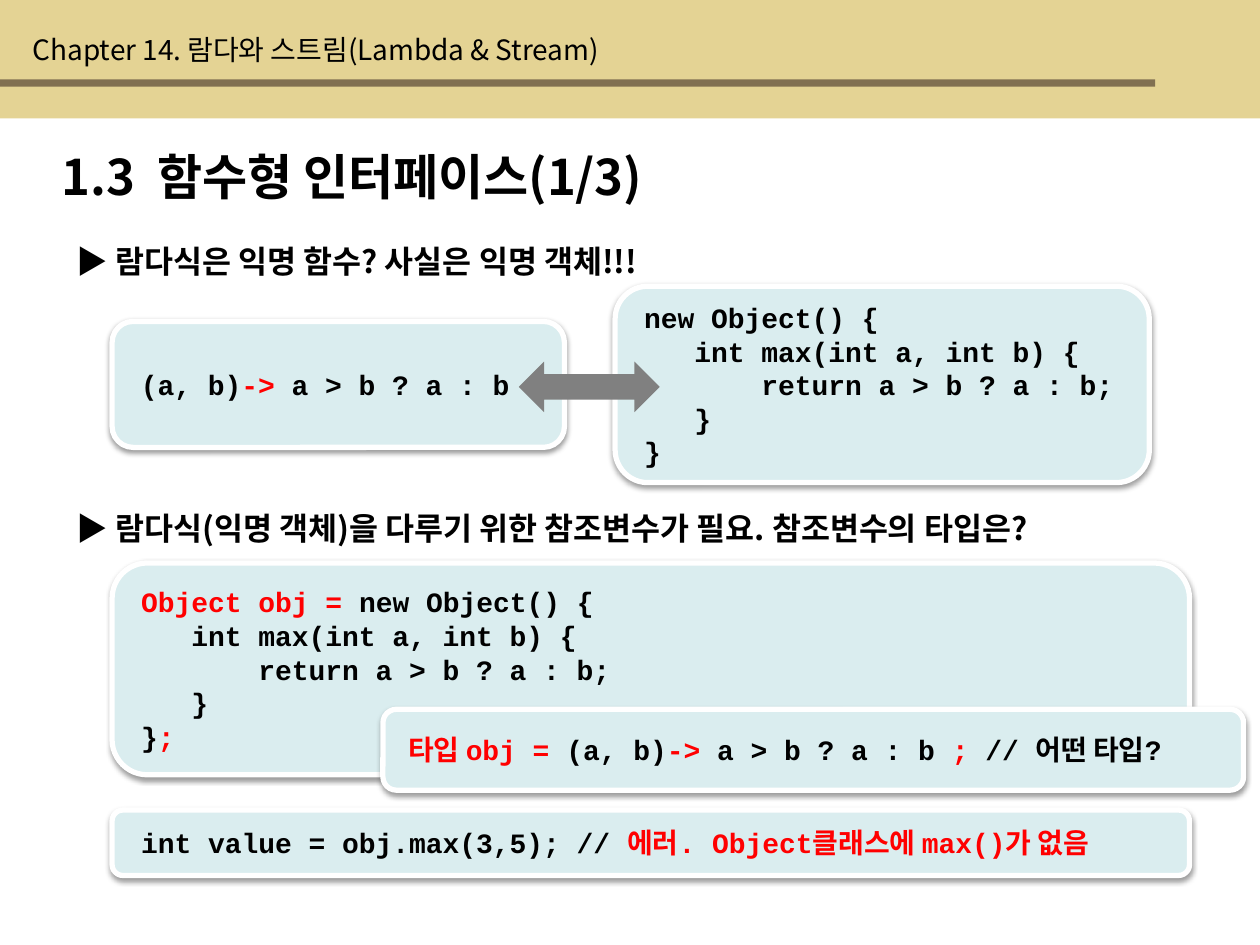
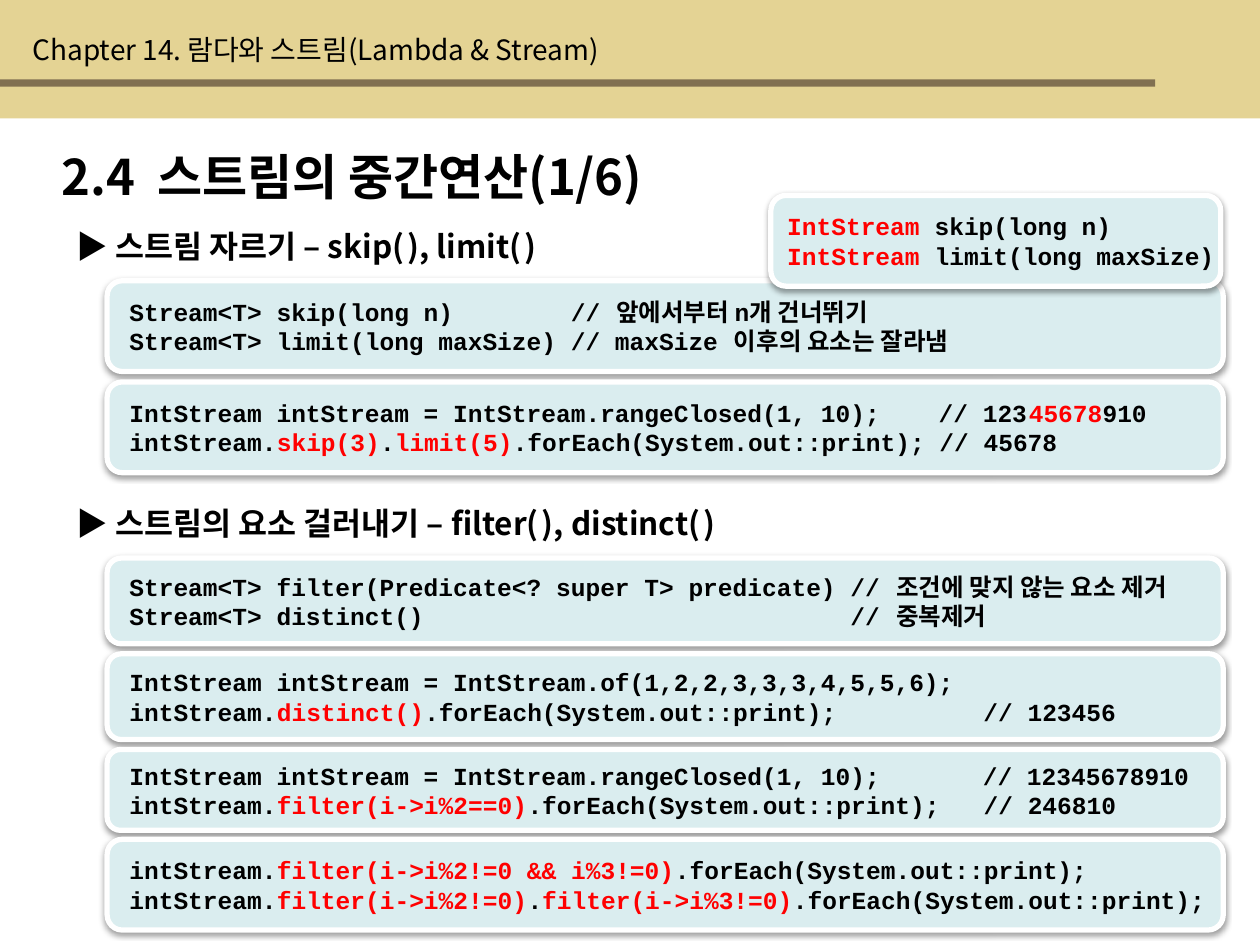
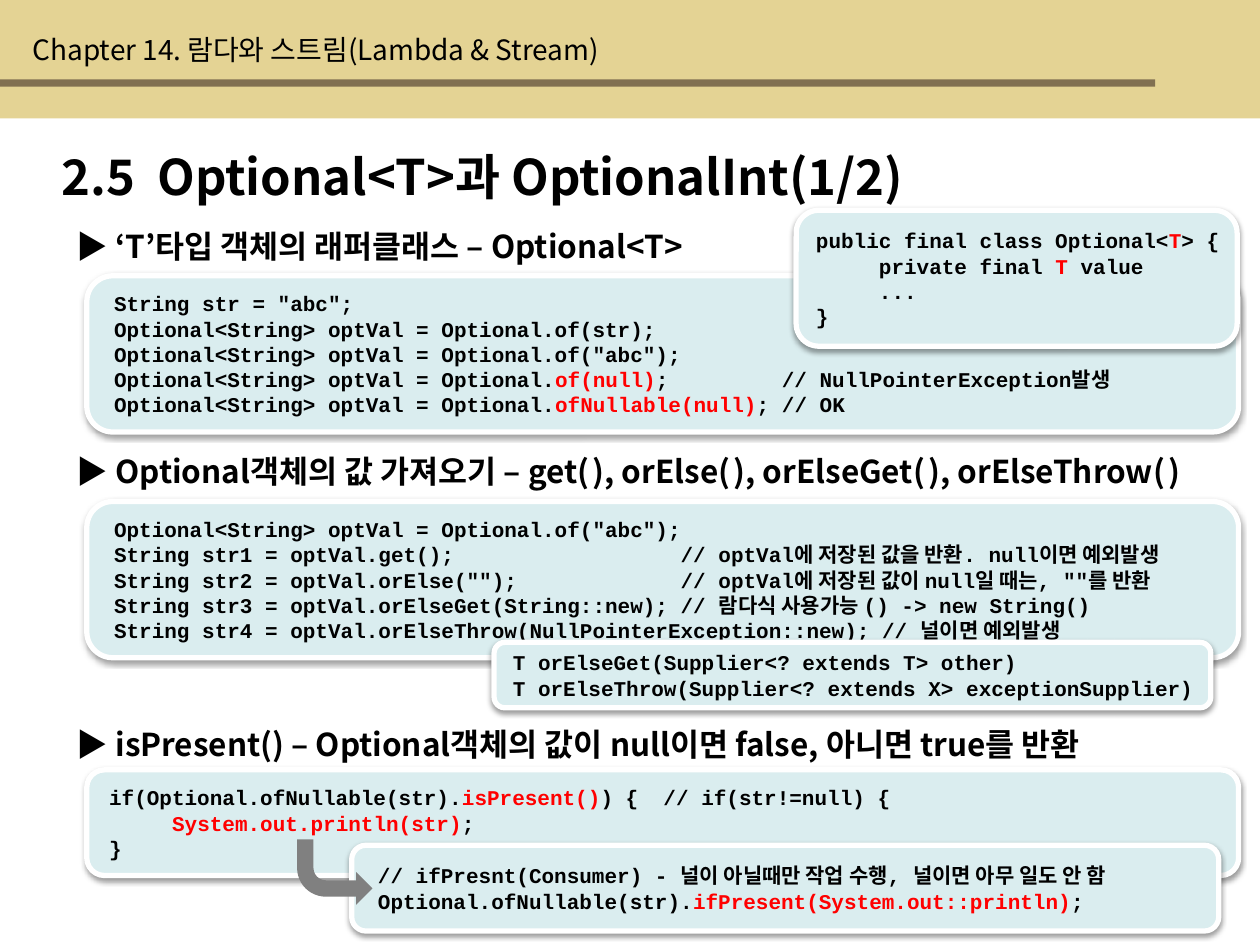
from dataclasses import dataclass

from lxml import etree
from pptx import Presentation
from pptx.dml.color import RGBColor
from pptx.enum.shapes import MSO_SHAPE
from pptx.enum.text import MSO_ANCHOR
from pptx.oxml import parse_xml
from pptx.oxml.ns import nsdecls, qn
from pptx.util import Cm, Pt

RECT = MSO_SHAPE.RECTANGLE
ROUND_RECT = MSO_SHAPE.ROUNDED_RECTANGLE
LEFT_RIGHT_ARROW = MSO_SHAPE.LEFT_RIGHT_ARROW
BENT_ARROW = MSO_SHAPE.BENT_ARROW
TOP, MIDDLE = MSO_ANCHOR.TOP, MSO_ANCHOR.MIDDLE


@dataclass(frozen=True)
class Theme:
    sand: RGBColor = RGBColor.from_string("E4D394")
    brown: RGBColor = RGBColor.from_string("817051")
    panel: RGBColor = RGBColor.from_string("DAEDEF")
    white: RGBColor = RGBColor.from_string("FFFFFF")
    gray: RGBColor = RGBColor.from_string("808080")
    black: RGBColor = RGBColor.from_string("000000")
    red: RGBColor = RGBColor.from_string("FF0000")
    sans: str = "Noto Sans CJK KR"
    mono: str = "Courier New"
    title: int = 28
    heading: int = 18
    chapter: int = 16
    small_gap: int = 8
    line_height: float = 1.2


T = Theme()
CHAPTER = "Chapter 14. 람다와 스트림(Lambda & Stream)"
SHADOW = (
    f'<a:effectLst {nsdecls("a")}><a:outerShdw blurRad="40000" dist="20000" dir="5400000" '
    'rotWithShape="0"><a:srgbClr val="000000"><a:alpha val="38000"/></a:srgbClr>'
    "</a:outerShdw></a:effectLst>"
)


def write(tf, text, size, font, bold=True, mark_color=T.black, mark_size=None, pitch=None, anchor=TOP):
    tf.word_wrap = True
    tf.vertical_anchor = anchor
    tf.margin_left = tf.margin_right = Cm(0.25)
    tf.margin_top = tf.margin_bottom = Cm(0.13)
    for i, line in enumerate(text.split("\n")):
        p = tf.paragraphs[0] if i == 0 else tf.add_paragraph()
        p.space_before = Pt(0)
        if pitch:
            p.line_spacing = Pt(pitch)
        for j, part in enumerate(line.split("|")):
            if not part:
                continue
            marked = j % 2 == 1
            r = p.add_run()
            r.text = part
            r.font.name = font
            r.font.bold = bold
            r.font.size = Pt(mark_size if marked and mark_size else size)
            r.font.color.rgb = mark_color if marked else T.black
            etree.SubElement(r.font._element, qn("a:ea")).set("typeface", T.sans)


def add_block(shapes, kind, box, fill):
    s = shapes.add_shape(kind, *map(Cm, box))
    s.shadow.inherit = False
    s.fill.solid()
    s.fill.fore_color.rgb = fill
    s.line.fill.background()
    return s


SLIDES = [
    {
        "title": "1.3  함수형 인터페이스(1/3)",
        "code_size": 16,
        "headings": [
            (4.75, "▶ 람다식은 익명 함수? 사실은 익명 객체!!!"),
            (10.13, "▶ 람다식(익명 객체)을 다루기 위한 참조변수가 필요. 참조변수의 타입은?"),
        ],
        "panels": [
            ((2.26, 6.48, 9.12, 2.54), 0.33, "(a, b)|->| a > b ? a : b"),
            ((12.4, 5.77, 10.77, 3.96), 0, """ new Object() {
    int max(int a, int b) {
        return a > b ? a : b;
    }
 }"""),
            ((2.26, 11.35, 21.72, 4.27), 0, """ |Object obj =| new Object() {
    int max(int a, int b) {
        return a > b ? a : b;
    }
 }|;|"""),
            ((7.72, 14.3, 17.35, 1.63), 0,
             "  |타입 obj = |(a, b)|->| a > b ? a : b |; |// 어떤 타입?"),
            ((2.26, 16.33, 21.72, 1.32), 0,
             " int value = obj.max(3,5); // |에러. Object클래스에 max()가 없음|"),
        ],
        "arrow": (LEFT_RIGHT_ARROW, (10.46, 7.29, 2.84, 1.02)),
    },
    {
        "title": "2.4  스트림의 중간연산(1/6)",
        "code_size": 14,
        "headings": [
            (4.45, "▶ 스트림 자르기 – skip(| |), limit(| |)"),
            (10.03, "▶ 스트림의 요소 걸러내기 – filter(| |), distinct(| |)"),
        ],
        "panels": [
            ((2.16, 5.66, 22.5, 1.83), 0.2, """Stream<T> skip(long n)        // 앞에서부터 n개 건너뛰기
Stream<T> limit(long maxSize) // maxSize 이후의 요소는 잘라냄"""),
            ((2.16, 7.7, 22.5, 1.83), 0.2,
             """IntStream intStream = IntStream.rangeClosed(1, 10);    // 123|45678|910
intStream.|skip(3)|.|limit(5)|.forEach(System.out::print); // 45678"""),
            ((15.54, 3.94, 9.07, 1.83), 0.08, """|IntStream| skip(long n)
|IntStream| limit(long maxSize)"""),
            ((2.16, 11.25, 22.5, 1.73), 0.2,
             """Stream<T> filter(Predicate<? super T> predicate) // 조건에 맞지 않는 요소 제거
Stream<T> distinct()                             // 중복제거"""),
            ((2.16, 13.18, 22.5, 1.73), 0.2,
             """IntStream intStream = IntStream.of(1,2,2,3,3,3,4,5,5,6);
intStream.|distinct()|.forEach(System.out::print);          // 123456"""),
            ((2.16, 15.11, 22.5, 1.63), 0.2,
             """IntStream intStream = IntStream.rangeClosed(1, 10);       // 12345678910
intStream.|filter(i->i%2==0)|.forEach(System.out::print);   // 246810"""),
            ((2.16, 16.92, 22.5, 1.83), 0.2,
             """intStream.|filter(i->i%2!=0 && i%3!=0)|.forEach(System.out::print);
intStream.|filter(i->i%2!=0)|.|filter(i->i%3!=0)|.forEach(System.out::print);"""),
        ],
    },
    {
        "title": "2.5  Optional<T>과 OptionalInt(1/2)",
        "code_size": 12,
        "headings": [
            (4.45, "▶ ‘T’타입 객체의 래퍼클래스 – Optional<T>"),
            (8.99, "▶ Optional객체의 값 가져오기 – get(| |), orElse(| |), orElseGet(| |), orElseThrow(| |)"),
            (14.48, "▶ isPresent() – Optional객체의 값이 null이면 false, 아니면 true를 반환"),
        ],
        "panels": [
            ((1.75, 5.56, 23.22, 3.15), 0.3, """String str = "abc";
Optional<String> optVal = Optional.of(str);
Optional<String> optVal = Optional.of("abc");
Optional<String> optVal = Optional.|of(null)|;         // NullPointerException발생
Optional<String> optVal = Optional.|ofNullable(null)|; // OK"""),
            ((16.05, 4.24, 8.89, 2.74), 0.15, """public final class Optional<|T|> {
     private final |T| value
     ...
}"""),
            ((1.75, 10.11, 23.22, 3.15), 0.3, """Optional<String> optVal = Optional.of("abc");
String str1 = optVal.get();                  // optVal에 저장된 값을 반환. null이면 예외발생
String str2 = optVal.orElse("");             // optVal에 저장된 값이 null일 때는, ""를 반환
String str3 = optVal.orElseGet(String::new); // 람다식 사용가능 () -> new String()
String str4 = optVal.orElseThrow(NullPointerException::new); // 널이면 예외발생"""),
            ((9.96, 12.95, 14.45, 1.32), 0.13, """T orElseGet(Supplier<? extends T> other)
T orElseThrow(Supplier<? extends X> exceptionSupplier)"""),
            ((1.75, 15.52, 23.22, 2.13), 0.2,
             """if(Optional.ofNullable(str).|isPresent()|) {  // if(str!=null) {
     |System.out.println(str)|;
}"""),
            ((7.09, 17.04, 17.48, 1.73), 0.28,
             """// ifPresnt(Consumer) - 널이 아닐때만 작업 수행, 널이면 아무 일도 안 함
Optional.ofNullable(str).|ifPresent(System.out::println)|;"""),
        ],
        "arrow": (BENT_ARROW, (5.99, 16.92, 1.52, 1.32)),
    },
]

prs = Presentation()
prs.slide_width, prs.slide_height = Cm(25.4), Cm(19.05)

for content in SLIDES:
    slide = prs.slides.add_slide(prs.slide_layouts[5])
    shapes = slide.shapes
    add_block(shapes, RECT, (0, 0, 25.4, 2.39), T.sand)
    add_block(shapes, RECT, (0, 1.6, 23.29, 0.15), T.brown)

    title = shapes.title
    title.left, title.top, title.width, title.height = Cm(0.99), Cm(2.82), Cm(23.8), Cm(1.45)
    write(title.text_frame, content["title"], T.title, T.sans, anchor=MIDDLE)
    title.text_frame.paragraphs[0].alignment = 1

    chapter = shapes.add_textbox(Cm(0.41), Cm(0.53), Cm(15.8), Cm(0.94))
    write(chapter.text_frame, CHAPTER, T.chapter, T.sans, bold=False, anchor=MIDDLE)

    for top, text in content["headings"]:
        heading = shapes.add_textbox(Cm(1.3), Cm(top), Cm(23.9), Cm(1.02))
        write(heading.text_frame, text, T.heading, T.sans, mark_size=T.small_gap, anchor=MIDDLE)

    pitch = content["code_size"] * T.line_height
    for box, indent, code in content["panels"]:
        group = shapes.add_group_shape()
        panel = add_block(group.shapes, ROUND_RECT, box, T.panel)
        panel.line.color.rgb = T.white
        panel.line.width = Pt(3)
        spPr = panel._element.spPr
        spPr.replace(spPr.find(qn("a:effectLst")), parse_xml(SHADOW))

        left, top, width, height = map(Cm, box)
        text_height = Pt(pitch * len(code.split("\n"))) + Cm(0.26)
        text_top = top + (height - text_height) // 2
        label = group.shapes.add_textbox(left + Cm(indent), text_top, width + Cm(0.2), text_height)
        write(label.text_frame, code, content["code_size"], T.mono,
              mark_color=T.red, pitch=pitch, anchor=MIDDLE)

    if "arrow" in content:
        kind, box = content["arrow"]
        arrow = add_block(shapes, kind, box, T.gray)
        if kind == BENT_ARROW:
            arrow.rotation = 180
            arrow._element.spPr.xfrm.set("flipH", "1")

prs.save("out.pptx")
